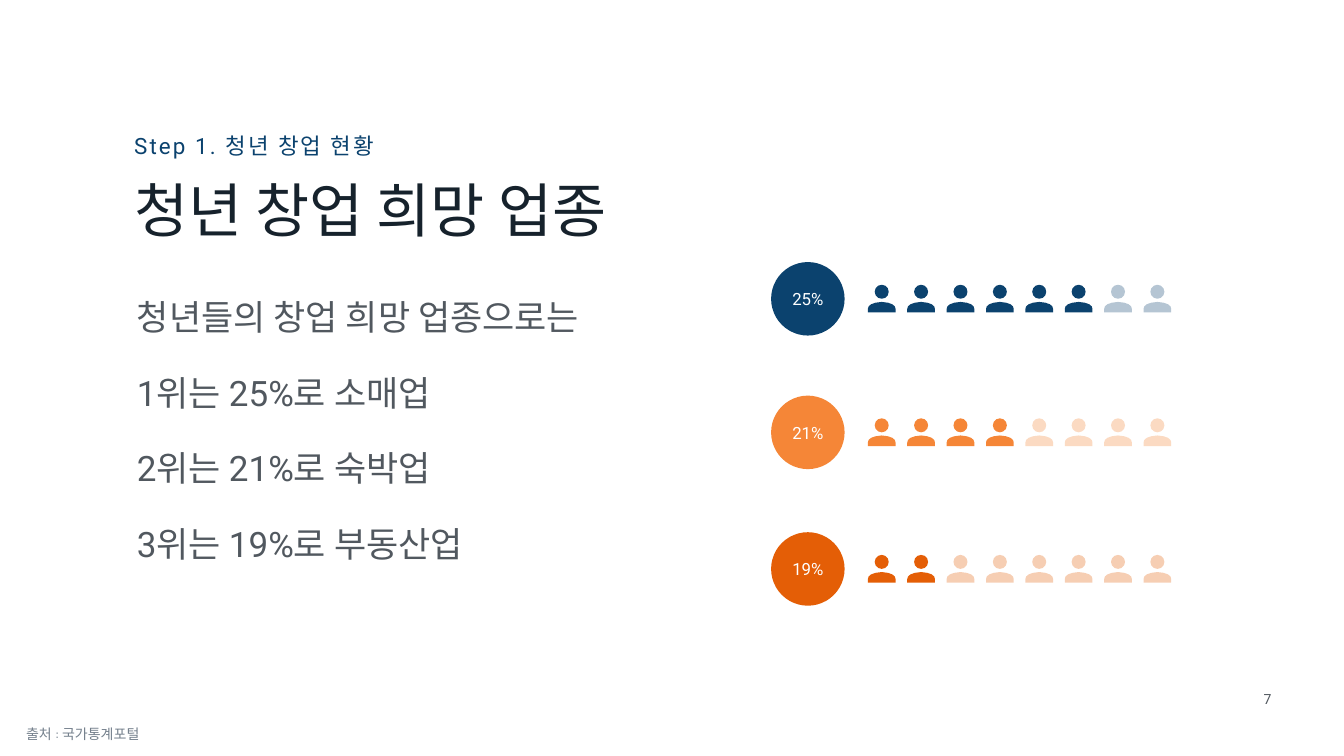
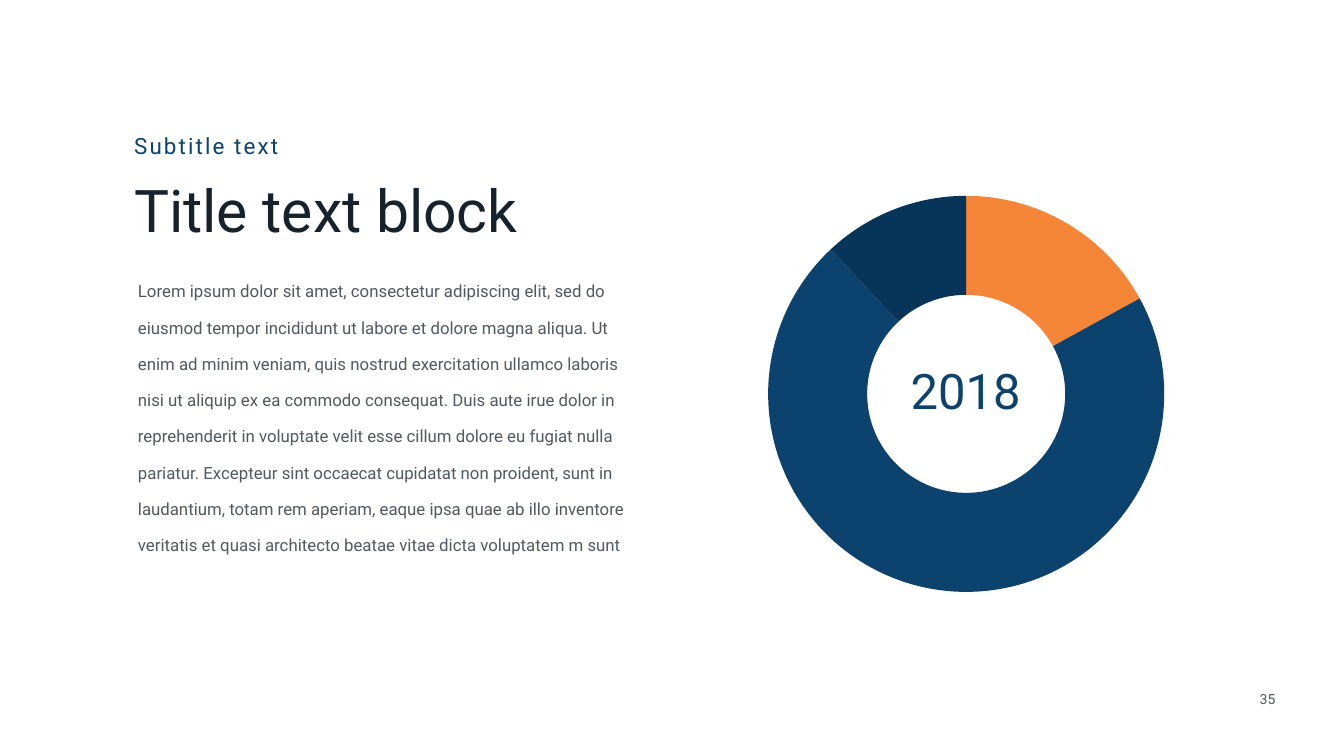
from dataclasses import dataclass
from math import cos, pi, sin

from lxml.etree import SubElement
from pptx import Presentation
from pptx.chart.data import CategoryChartData
from pptx.dml.color import RGBColor
from pptx.enum.chart import XL_CHART_TYPE
from pptx.enum.shapes import MSO_SHAPE
from pptx.enum.text import MSO_ANCHOR, MSO_AUTO_SIZE, PP_ALIGN
from pptx.oxml import parse_xml
from pptx.oxml.ns import nsdecls, qn
from pptx.util import Pt


@dataclass(frozen=True)
class Theme:
    font: str = "Roboto"
    note_font: str = "Manrope"
    chart_font: str = "Arial"
    blue: str = "0B426E"
    navy: str = "073559"
    orange: str = "F58637"
    rust: str = "E45E06"
    ink: str = "16222C"
    gray: str = "51585F"
    pale: str = "74808C"
    white: str = "FEFFFF"
    title: int = 84
    year: int = 70
    lead: int = 50
    step: int = 32
    text: int = 24
    small: int = 20
    tick: int = 10


theme = Theme()
rgb = RGBColor.from_string


def style(frame, lines, size, color, font=theme.font, align=PP_ALIGN.LEFT, gap=None):
    """Fill a text frame with paragraphs of one style."""
    frame.text = "\n".join(lines)
    for para in frame.paragraphs:
        para.alignment = align
        para.line_spacing = gap
        para.font.name = font
        para.font.size = Pt(size)
        para.font.color.rgb = rgb(color)


def write(page, box, lines, size, color, inset=(3, 3), grow=False, **kind):
    """Add a wrapped text box; box is left, top, width, height in points."""
    frame = page.shapes.add_textbox(*map(Pt, box)).text_frame
    frame.word_wrap = True
    frame.auto_size = MSO_AUTO_SIZE.SHAPE_TO_FIT_TEXT if grow else MSO_AUTO_SIZE.NONE
    frame.margin_left = frame.margin_right = Pt(inset[0])
    frame.margin_top = frame.margin_bottom = Pt(inset[1])
    style(frame, lines, size, color, **kind)
    return frame


deck = Presentation()
deck.slide_width, deck.slide_height = Pt(1920), Pt(1080)

# Step line, title, body and page number on every slide
lorem = (
    "Lorem ipsum dolor sit amet, consectetur adipiscing elit, sed do eiusmod tempor "
    "incididunt ut labore et dolore magna aliqua. Ut enim ad minim veniam, quis nostrud "
    "exercitation ullamco laboris nisi ut aliquip ex ea commodo consequat. Duis aute irue "
    "dolor in reprehenderit in voluptate velit esse cillum dolore eu fugiat nulla pariatur. "
    "Excepteur sint occaecat cupidatat non proident, sunt in laudantium, totam rem aperiam, "
    "eaque ipsa quae ab illo inventore veritatis et quasi architecto beatae vitae dicta "
    "voluptatem m sunt"
)
wishes = [
    "청년들의 창업 희망 업종으로는",
    "1위는 25%로 소매업",
    "2위는 21%로 숙박업",
    "3위는 19%로 부동산업",
]
pages = []
for number, step, title, wide, body, size, left, top in [
    ("7", "Step 1. 청년 창업 현황", "청년 창업 희망 업종", 822, wishes, theme.lead, 188.6, 370.8),
    ("35", "Subtitle text", "Title text block", 618, [lorem], theme.text, 190, 375),
]:
    page = deck.slides.add_slide(deck.slide_layouts[6])
    pages.append(page)
    write(page, (1775.5, 983.5, 70.5, 30), [number], theme.small, theme.gray,
          grow=True, align=PP_ALIGN.CENTER)
    write(page, (188.6, 245.5, wide, 124.5), [title], theme.title, theme.ink)
    write(page, (left, top, 741.6, 427), body, size, theme.gray,
          inset=(7.2, 3.6), grow=True, gap=1.8)
    frame = write(page, (188.6, 185, 440.6, 44.6), [step], theme.step, theme.blue, grow=True)
    frame.vertical_anchor = MSO_ANCHOR.MIDDLE
    frame.paragraphs[0].runs[0].font._element.set("spc", "300")
survey, share = pages

# Person outline in hundredths of a point: round head, then arched shoulders
head = [(round(1980 + 1000 * sin(pi * i / 6)), round(1000 - 1000 * cos(pi * i / 6)))
        for i in range(12)]
arch = [(1980, 2450), (1080, 2570), (460, 2790), (110, 3090), (0, 3460)]
torso = arch + [(0, 3960), (3960, 3960)] + [(3960 - x, y) for x, y in arch[:0:-1]]

# One row per trade: share in a disc, then eight people
for top, label, color, full in [
    (374.4, "25%", theme.blue, 6),
    (565.2, "21%", theme.orange, 4),
    (760.3, "19%", theme.rust, 2),
]:
    disc = survey.shapes.add_shape(MSO_SHAPE.OVAL, Pt(1101.6), Pt(top), Pt(105), Pt(105))
    disc.shadow.inherit = False
    disc.fill.solid()
    disc.fill.fore_color.rgb = rgb(color)
    disc.line.fill.background()
    frame = disc.text_frame
    frame.margin_left = frame.margin_right = 0
    frame.vertical_anchor = MSO_ANCHOR.MIDDLE
    style(frame, [label], theme.text, theme.white, align=PP_ALIGN.CENTER)
    for i in range(8):
        pen = survey.shapes.build_freeform(*head[0], scale=Pt(1) / 100)
        pen.add_line_segments(head[1:])
        pen.move_to(*torso[0])
        pen.add_line_segments(torso[1:])
        person = pen.convert_to_shape(Pt(1239.8 + 56.26 * i), Pt(top + 32.4))
        person.shadow.inherit = False
        person.fill.solid()
        person.fill.fore_color.rgb = rgb(color)
        person.line.fill.background()
        if i >= full:
            tint = person._element.spPr.find(qn("a:solidFill"))[0]
            SubElement(tint, qn("a:alpha")).set("val", "30000")

# Source note
write(survey, (30.2, 1033.2, 221, 31.7), ["출처 : 국가통계포털"], theme.small, theme.pale,
      inset=(7.2, 3.6), grow=True, font=theme.note_font)

# Ring chart
data = CategoryChartData()
data.categories = ["1", "2", "3"]
data.add_series("Series 1", (17, 71, 12))
chart = share.shapes.add_chart(XL_CHART_TYPE.DOUGHNUT, Pt(1079.3), Pt(267.8),
                               Pt(602), Pt(584), data).chart
chart.has_title = chart.has_legend = False
chart.font.name = theme.chart_font
chart.font.size = Pt(theme.tick)
chart.font.color.rgb = rgb(theme.white)
plot = chart.plots[0]
plot.vary_by_categories = True
for i, color in enumerate([theme.orange, theme.blue, theme.navy]):
    slot = plot.series[0].points[i].format
    slot.fill.solid()
    slot.fill.fore_color.rgb = rgb(color)
    slot.line.fill.background()
area = chart._chartSpace.chart.plotArea
area.find(".//" + qn("c:holeSize")).set("val", "75")
for old in area.findall(qn("c:layout")):
    area.remove(old)
area.insert(0, parse_xml(
    f'<c:layout {nsdecls("c")}><c:manualLayout><c:layoutTarget val="inner"/>'
    '<c:xMode val="edge"/><c:yMode val="edge"/><c:x val="0.03"/><c:y val="0.02"/>'
    '<c:w val="0.94"/><c:h val="0.97"/></c:manualLayout></c:layout>'))

# Year in the ring
write(share, (1164.2, 512.6, 430.6, 95), ["2018"], theme.year, theme.blue,
      align=PP_ALIGN.CENTER)

deck.save("out.pptx")
